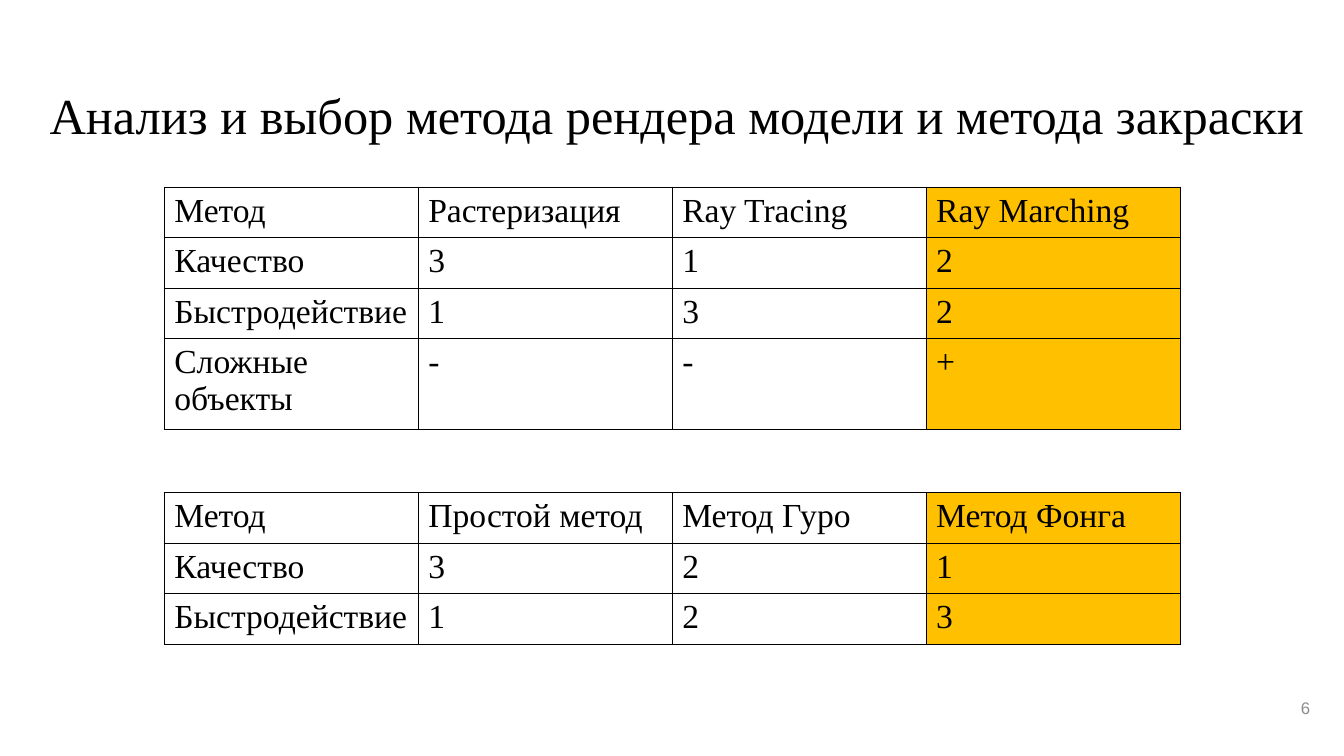
import pptx
import pptx.util
import pptx.dml.color
import pptx.enum.text
from lxml import etree
from pptx.oxml.ns import qn

Cm, Pt = pptx.util.Cm, pptx.util.Pt
RGBColor = pptx.dml.color.RGBColor
Align = pptx.enum.text.PP_ALIGN

BLACK = RGBColor(0x00, 0x00, 0x00)
WHITE = RGBColor(0xFF, 0xFF, 0xFF)
GOLD = RGBColor(0xFF, 0xC0, 0x00)
GRAY = RGBColor(0x8C, 0x8C, 0x8C)
SERIF, SANS = "Times New Roman", "Arial"
ROW = 1.18

RENDER = [
    ["Метод", "Растеризация", "Ray Tracing", "Ray Marching"],
    ["Качество", "3", "1", "2"],
    ["Быстродействие", "1", "3", "2"],
    ["Сложные объекты", "-", "-", "+"],
]
SHADING = [
    ["Метод", "Простой метод", "Метод Гуро", "Метод Фонга"],
    ["Качество", "3", "2", "1"],
    ["Быстродействие", "1", "2", "3"],
]


def style(para, size, face, color):
    para.font.size = Pt(size)
    para.font.name = face
    para.font.color.rgb = color


def add_text(slide, box, text, size, face, color, align=Align.LEFT):
    frame = slide.shapes.add_textbox(*map(Cm, box)).text_frame
    frame.word_wrap = True
    frame.vertical_anchor = pptx.enum.text.MSO_ANCHOR.MIDDLE
    para = frame.paragraphs[0]
    para.text = text
    para.alignment = align
    para.line_spacing = 0.9
    style(para, size, face, color)


def add_edges(cell):
    """Draw a thin black border on all four sides, below the fill in order."""
    props = cell._tc.get_or_add_tcPr()
    for spot, side in enumerate(("lnL", "lnR", "lnT", "lnB")):
        line = etree.Element(qn(f"a:{side}"), w=str(Pt(1)))
        fill = etree.SubElement(line, qn("a:solidFill"))
        etree.SubElement(fill, qn("a:srgbClr"), val=str(BLACK))
        props.insert(spot, line)


def add_grid(slide, box, rows):
    """Add a table whose last column is marked as the chosen method."""
    count = len(rows[0])
    table = slide.shapes.add_table(len(rows), count, *map(Cm, box)).table
    for col in table.columns:
        col.width = Cm(box[2] / count)
    for r, row in enumerate(rows):
        table.rows[r].height = Cm(ROW)
        for c, text in enumerate(row):
            cell = table.cell(r, c)
            cell.text = text
            cell.fill.solid()
            cell.fill.fore_color.rgb = GOLD if c == count - 1 else WHITE
            para = cell.text_frame.paragraphs[0]
            style(para, 24, SERIF, BLACK)
            para.font.bold = False
            add_edges(cell)


def main():
    deck = pptx.Presentation()
    deck.slide_width, deck.slide_height = Cm(33.87), Cm(19.05)
    slide = deck.slides.add_slide(deck.slide_layouts[6])
    add_text(slide, (1, 1.22, 32.28, 3.5),
             "Анализ и выбор метода рендера модели и метода закраски",
             36, SERIF, BLACK)
    for top, rows in ((4.72, RENDER), (12.42, SHADING)):
        add_grid(slide, (4.14, top, 25.6, ROW * len(rows)), rows)
    add_text(slide, (25.65, 17.35, 7.62, 1.02), "6",
             12, SANS, GRAY, Align.RIGHT)
    deck.save("out.pptx")


if __name__ == "__main__":
    main()
